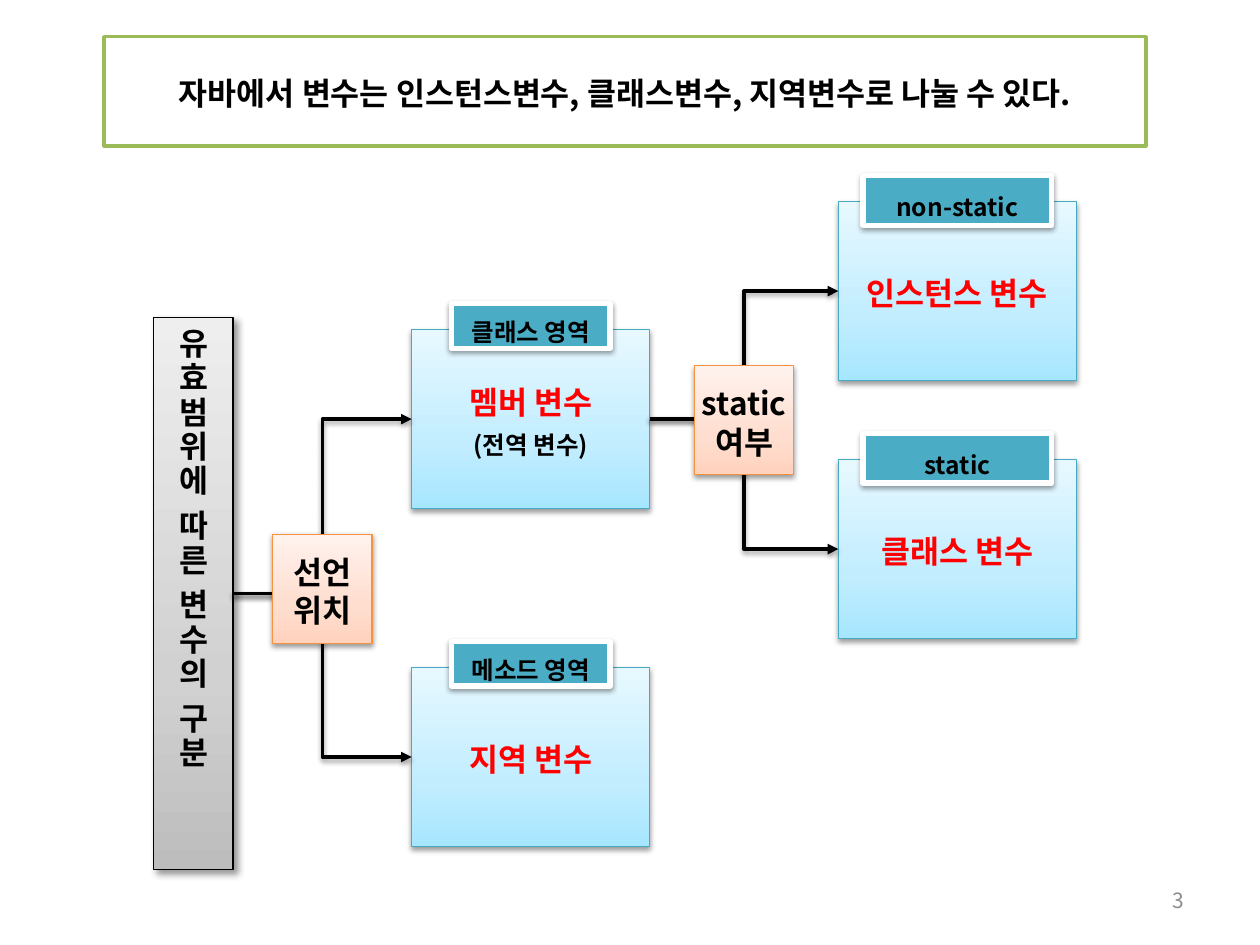
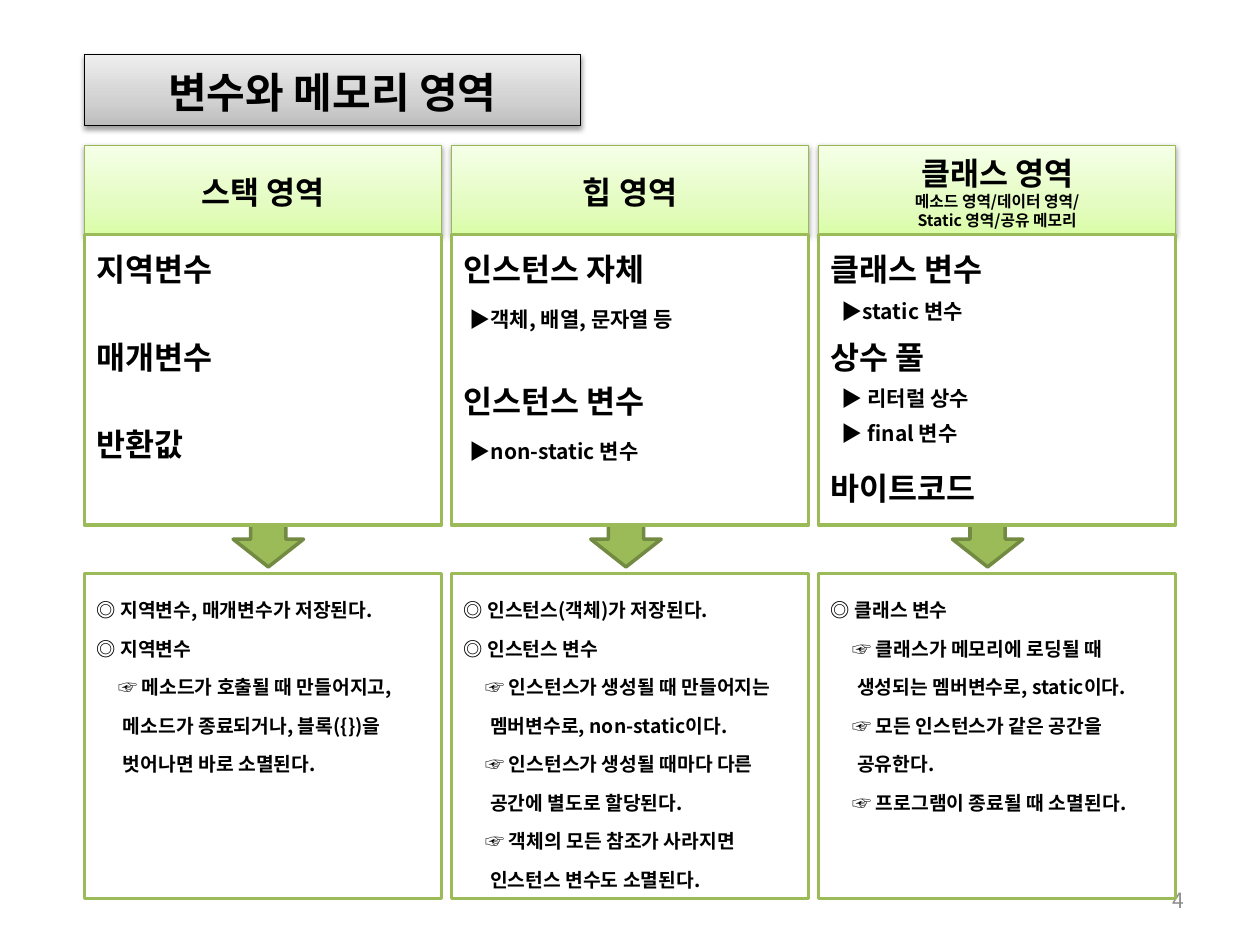
from dataclasses import dataclass

from lxml import etree
from pptx import Presentation
from pptx.dml.color import RGBColor
from pptx.enum.shapes import MSO_CONNECTOR, MSO_SHAPE
from pptx.enum.text import MSO_ANCHOR, MSO_AUTO_SIZE, PP_ALIGN
from pptx.oxml.ns import qn
from pptx.util import Cm, Pt

PROCESS, ARROW = MSO_SHAPE.FLOWCHART_PROCESS, MSO_SHAPE.DOWN_ARROW
ELBOW = MSO_CONNECTOR.ELBOW
LEFT, MID, RIGHT = PP_ALIGN.LEFT, PP_ALIGN.CENTER, PP_ALIGN.RIGHT
TOP, MIDDLE = MSO_ANCHOR.TOP, MSO_ANCHOR.MIDDLE
FIXED = MSO_AUTO_SIZE.NONE

# Shared look; gradients run from bottom to top
FONT = "Noto Sans CJK KR"
BLACK, WHITE, RED, DIM = "000000", "FFFFFF", "FF0000", "8C8C8C"
GREEN, MOSS, TEAL = "9BBB59", "738A42", "4BACC6"
GRAY = ("BDBDBD", "D1D1D1", "EEEEEE")
BLUE = ("A7E6FF", "C1EDFF", "E7F8FF")
PEACH = ("FFD2BD", "FFDED0", "FFF2ED")
LIME = ("DAFDA7", "E4FCC2", "F5FFE7")
STOPS = (0, 35, 100)
SITE_LEFT, SITE_RIGHT = 1, 3


@dataclass
class Shade:
    alpha: float = 38
    blur: float = 3.1
    dist: float = 1.6
    angle: int = 90


@dataclass
class Card:
    x: float
    y: float
    tag: str
    size: tuple[float, float]  # of the tag
    name: str
    note: str = ""


@dataclass
class Item:
    text: str
    size: float = 18
    lead: float = 25
    before: float = 0
    left: float = 0


@dataclass
class Column:
    head: str
    sub: str
    items: list[Item]
    notes: list[str]
    tip: float  # left edge of the arrow


def color(code: str) -> RGBColor:
    return RGBColor.from_string(code)


def add_shade(shape, shade: Shade | None) -> None:
    """Give a shape its shadow, or none at all."""
    effects = etree.SubElement(shape.element.spPr, qn("a:effectLst"))
    if shade:
        outer = etree.SubElement(
            effects, qn("a:outerShdw"), blurRad=str(Pt(shade.blur)),
            dist=str(Pt(shade.dist)), dir=str(shade.angle * 60000), rotWithShape="0")
        tint = etree.SubElement(outer, qn("a:srgbClr"), val=BLACK)
        etree.SubElement(tint, qn("a:alpha"), val=str(int(shade.alpha * 1000)))


def style(shape, fill, line: str, width: float, shade: Shade | None = None,
          anchor=MIDDLE, side: float = 0.25):
    """Set fill, outline, shadow and text frame of a shape."""
    if isinstance(fill, str):
        shape.fill.solid()
        shape.fill.fore_color.rgb = color(fill)
    else:
        shape.fill.gradient()
        shape.fill.gradient_angle = 90
        stops = shape.element.xpath(".//a:gsLst")[0]
        for old in list(stops):
            stops.remove(old)
        for pos, code in zip(STOPS, fill):
            stop = etree.SubElement(stops, qn("a:gs"), pos=str(pos * 1000))
            etree.SubElement(stop, qn("a:srgbClr"), val=code)
    shape.line.color.rgb = color(line)
    shape.line.width = Pt(width)
    add_shade(shape, shade)
    frame = shape.text_frame
    frame.word_wrap, frame.auto_size = True, FIXED
    frame.vertical_anchor = anchor
    frame.margin_left = frame.margin_right = Cm(side)
    frame.margin_top, frame.margin_bottom = Cm(0.2), Cm(0.13)
    return shape


def box(slide, x: float, y: float, w: float, h: float, *look, kind=PROCESS, **more):
    shape = slide.shapes.add_shape(kind, Cm(x), Cm(y), Cm(w), Cm(h))
    return style(shape, *look, **more)


def write(shape, words: str, *, size: float = 18, ink: str = BLACK, bold: bool = True,
          align=MID, lead: float | None = 22, before: float = 0, left: float = 0,
          first: float = 0, spread: float = 0) -> None:
    """Add one paragraph to a shape."""
    frame = shape.text_frame
    para = frame.paragraphs[0]
    if para.runs:
        para = frame.add_paragraph()
    para.text = words
    para.alignment = align
    para.space_before = Pt(before)
    if lead:
        para.line_spacing = Pt(lead)
    if left:
        props = para._p.get_or_add_pPr()
        props.set("marL", str(Cm(left)))
        props.set("indent", str(Cm(first)))
    for run in para.runs:
        font = run.font
        font.size, font.bold, font.name = Pt(size), bold, FONT
        font.color.rgb = color(ink)
        props = run._r.get_or_add_rPr()
        etree.SubElement(props, qn("a:ea"), typeface=FONT)
        if spread:
            props.set("spc", str(int(spread * 100)))


def start(deck, page: int, x: float, y: float, w: float, h: float, *look):
    """Add a slide with its page number and return it with its title."""
    slide = deck.slides.add_slide(deck.slide_layouts[5])
    title = slide.shapes.title
    title.left, title.top, title.width, title.height = Cm(x), Cm(y), Cm(w), Cm(h)
    style(title, *look)
    foot = slide.shapes.add_textbox(Cm(18.2), Cm(17.65), Cm(5.93), Cm(1.01))
    foot.text_frame.word_wrap = True
    foot.text_frame.vertical_anchor = MIDDLE
    write(foot, str(page), size=12, ink=DIM, bold=False, align=RIGHT, lead=None)
    return slide, title


def link(slide, source, target) -> None:
    """Draw an elbow arrow from the right of one shape to the left of another."""
    wire = slide.shapes.add_connector(ELBOW, 0, 0, 0, 0)
    wire.begin_connect(source, SITE_RIGHT)
    wire.end_connect(target, SITE_LEFT)
    wire.line.color.rgb = color(BLACK)
    wire.line.width = Pt(2)
    etree.SubElement(wire.element.xpath(".//a:ln")[0], qn("a:tailEnd"), type="triangle")
    add_shade(wire, Shade())


# Kinds of variables
CARD_W, CARD_H, RISE = 4.8, 3.6, 0.53
SMALL, LARGE = (3.2, 0.9), (3.8, 1.0)
CARDS = [
    Card(8.3, 6.65, "클래스 영역", SMALL, "멤버 변수", "(전역 변수)"),
    Card(8.3, 13.46, "메소드 영역", SMALL, "지역 변수"),
    Card(16.9, 4.07, "non-static", LARGE, "인스턴스 변수"),
    Card(16.9, 9.27, "static", LARGE, "클래스 변수"),
]
TESTS = [(5.5, 10.77, ["선언 위치"]), (14, 7.37, ["static", "여부"])]


def draw_kinds(deck) -> None:
    slide, title = start(deck, 3, 2.1, 0.74, 21, 2.2, WHITE, GREEN, 2)
    write(title, "자바에서 변수는 인스턴스변수, 클래스변수, 지역변수로 나눌 수 있다.")

    bar = box(slide, 3.1, 6.4, 1.6, 11.13, GRAY, BLACK, 0.75, Shade(40, 4, 3, 45))
    bar.text_frame._txBody.bodyPr.set("vert", "eaVert")
    write(bar, "유효범위에 따른 변수의 구분", spread=1.7)

    cards = []
    for card in CARDS:
        shape = box(slide, card.x, card.y, CARD_W, CARD_H, BLUE, "46AAC5", 0.75, Shade())
        write(shape, card.name, ink=RED)
        if card.note:
            write(shape, card.note, size=14)
        cards.append(shape)

    member, local, instance, static = cards
    for source, target in ((bar, member), (bar, local), (member, instance), (member, static)):
        link(slide, source, target)

    # Decisions cover the bends, tags cover the card edges
    for x, y, lines in TESTS:
        test = box(slide, x, y, 2, 2.2, PEACH, "F69240", 0.75, Shade(), side=0.1)
        for line in lines:
            write(test, line)
    for card in CARDS:
        w, h = card.size
        tag = box(slide, card.x + (CARD_W - w) / 2, card.y - RISE, w, h,
                  TEAL, WHITE, 3, Shade(), side=0.1)
        write(tag, card.tag, size=14)


# Memory areas; notes marked with HAND are indented
HAND = "☞"
COL_X, COL_W, PITCH = 1.7, 7.2, 7.4
COLUMNS = [
    Column("스택 영역", "",
           [Item("지역변수"), Item("매개변수", before=25), Item("반환값", before=25)],
           ["◎ 지역변수, 매개변수가 저장된다.", "◎ 지역변수",
            "☞ 메소드가 호출될 때 만들어지고, 메소드가 종료되거나, 블록({})을 벗어나면 바로 소멸된다."],
           4.7),
    Column("힙 영역", "",
           [Item("인스턴스 자체"), Item("▶객체, 배열, 문자열 등", 12, left=0.12),
            Item("인스턴스 변수", before=25), Item("▶non-static 변수", 12, left=0.12)],
           ["◎ 인스턴스(객체)가 저장된다.", "◎ 인스턴스 변수",
            "☞ 인스턴스가 생성될 때 만들어지는 멤버변수로, non-static이다.",
            "☞ 인스턴스가 생성될 때마다 다른 공간에 별도로 할당된다.",
            "☞ 객체의 모든 참조가 사라지면 인스턴스 변수도 소멸된다."],
           11.91),
    Column("클래스 영역", "메소드 영역/데이터 영역/\vStatic 영역/공유 메모리",
           [Item("클래스 변수"), Item("▶static 변수", 12, 20, left=0.22),
            Item("상수 풀", 18, 20, 10), Item("▶ 리터럴 상수", 12, 20, left=0.22),
            Item("▶ final 변수", 12, 20, left=0.22), Item("바이트코드", before=10)],
           ["◎ 클래스 변수",
            "☞ 클래스가 메모리에 로딩될 때 생성되는 멤버변수로, static이다.",
            "☞ 모든 인스턴스가 같은 공간을 공유한다.",
            "☞ 프로그램이 종료될 때 소멸된다."],
           19.2),
]


def draw_areas(deck) -> None:
    slide, title = start(deck, 4, 1.7, 1.1, 10, 1.43, GRAY, BLACK, 0.75, Shade())
    write(title, "변수와 메모리 영역", size=24, lead=None)

    for i, col in enumerate(COLUMNS):
        x = COL_X + i * PITCH
        box(slide, col.tip, 10.31, 1.42, 1.12, GREEN, MOSS, 2, kind=ARROW)

        head = box(slide, x, 2.93, COL_W, 1.8, LIME, "98B955", 0.75, Shade())
        write(head, col.head, lead=None if col.sub else 22)
        if col.sub:
            write(head, col.sub, size=9, lead=None)

        body = box(slide, x, 4.73, COL_W, 5.85, WHITE, GREEN, 2, anchor=TOP)
        for item in col.items:
            write(body, item.text, size=item.size, align=LEFT, lead=item.lead,
                  before=item.before, left=item.left)

        notes = box(slide, x, 11.56, COL_W, 6.55, WHITE, GREEN, 2, anchor=TOP)
        for note in col.notes:
            first = -0.1 if note.startswith(HAND) else -0.53
            write(notes, note, size=11, align=LEFT, left=0.53, first=first)


deck = Presentation()
deck.slide_width, deck.slide_height = Cm(25.4), Cm(19.05)
draw_kinds(deck)
draw_areas(deck)
deck.save("out.pptx")
